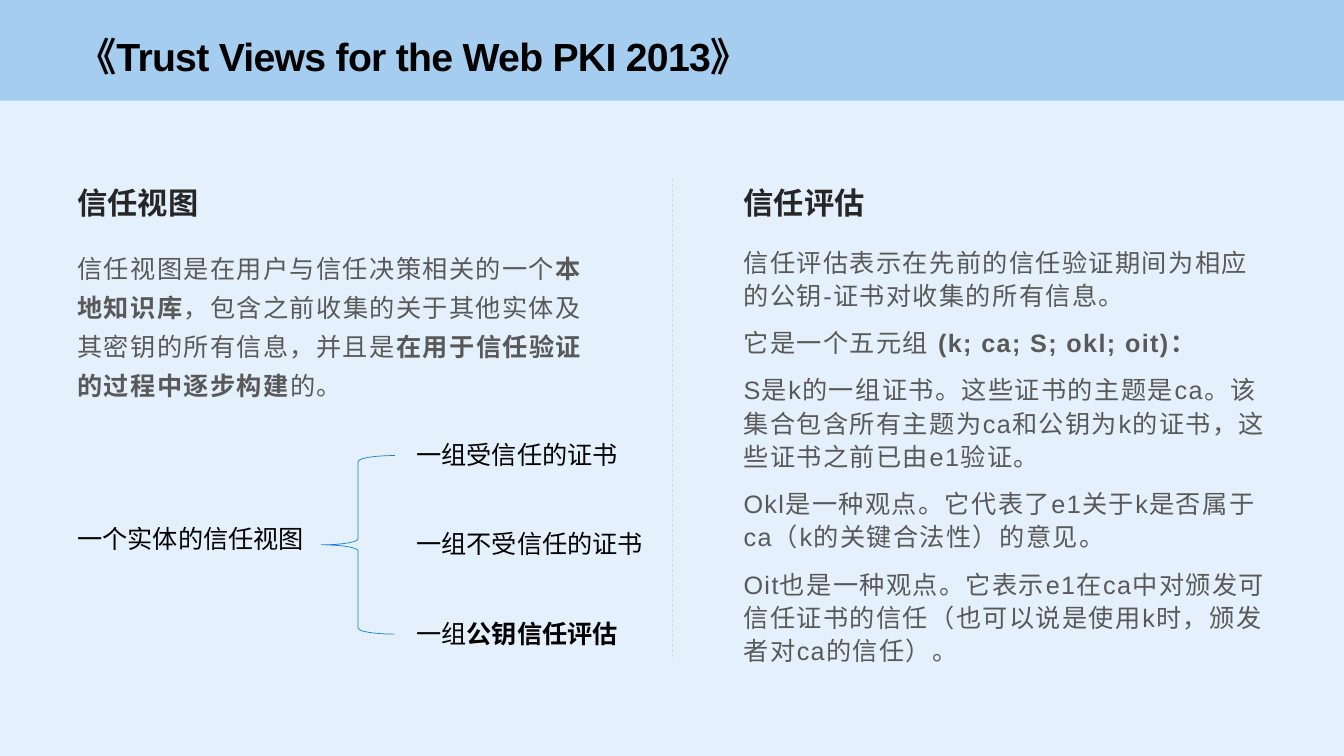
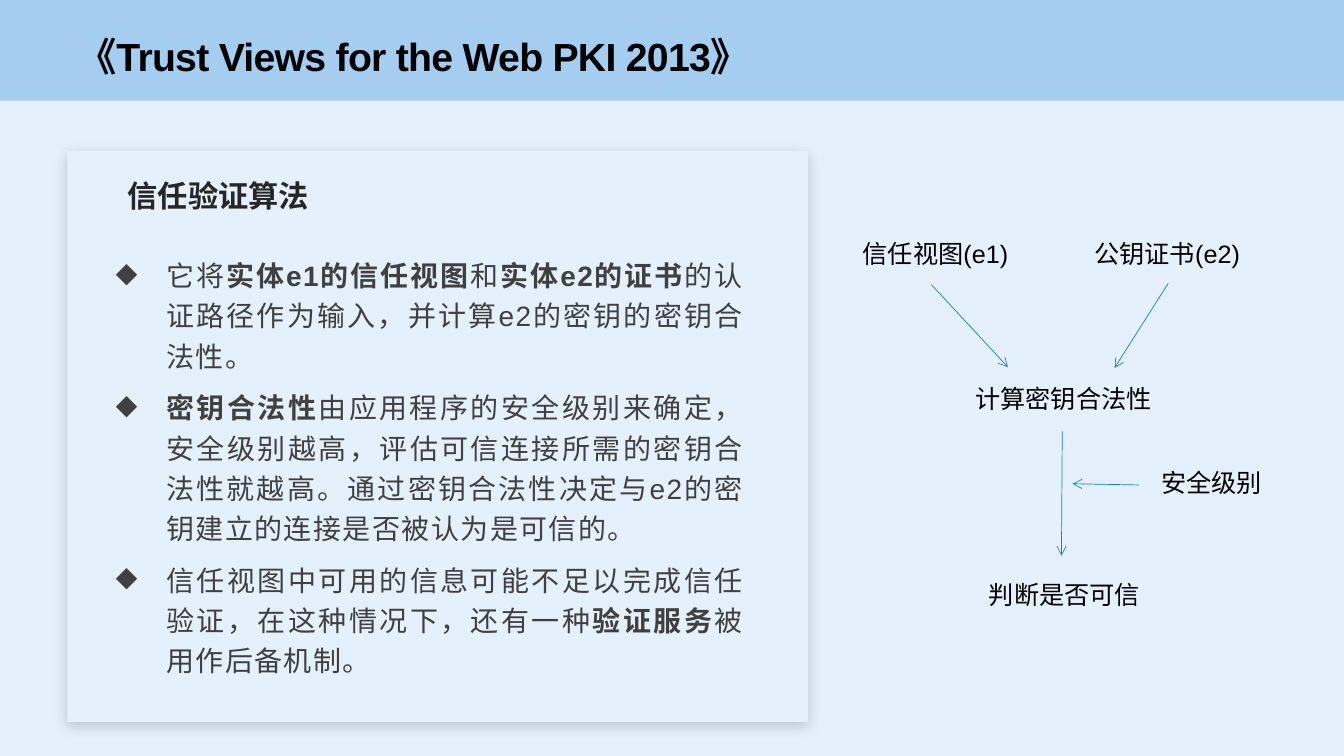
from lxml import etree
from pptx import Presentation
from pptx import util as u
from pptx.dml.color import RGBColor
from pptx.enum import dml, lang, shapes, text
from pptx.oxml.ns import qn

PALE = RGBColor(0xE4, 0xF0, 0xFB)
BAND = RGBColor(0xA5, 0xCD, 0xEF)
BLUE = RGBColor(0x15, 0x7F, 0xD9)
RULE = RGBColor(0xD9, 0xD9, 0xD9)
BLACK = RGBColor(0, 0, 0)
DARK = RGBColor(0x26, 0x26, 0x26)
SLATE = RGBColor(0x40, 0x40, 0x40)
GREY = RGBColor(0x59, 0x59, 0x59)

WIDTH, HEIGHT = 33.87, 19.05
TITLE = dict(size=28, color=BLACK, bold=True, track=-50)
HEAD = dict(size=21.6, color=DARK, bold=True, track=0)
LABEL = dict(size=18, color=BLACK, bold=False, track=0)
BODY = dict(size=18, color=GREY, bold=False, track=100)
POINT = dict(size=20, color=SLATE, bold=False, track=100)


def cm(*sizes):
    return [u.Cm(size) for size in sizes]


def put(target, **form):
    for name, value in form.items():
        setattr(target, name, value)


def node(parent, tag, **attrs):
    return etree.SubElement(parent, qn(tag), attrs)


def write(para, words, style):
    for i, part in enumerate(words.split("*")):
        if not part:
            continue
        run = para.add_run()
        run.text = part
        put(run.font, name="Arial", size=u.Pt(style["size"]),
            bold=style["bold"] or i % 2 == 1,
            language_id=lang.MSO_LANGUAGE_ID.SIMPLIFIED_CHINESE)
        run.font.color.rgb = style["color"]
        props = run.font._element
        props.set("spc", str(style["track"]))
        node(props, "a:ea", typeface="Arial")


def add_text(slide, box, paras, style, anchor=text.MSO_ANCHOR.TOP, bullet=None, **form):
    frame = slide.shapes.add_textbox(*cm(*box)).text_frame
    put(frame, word_wrap=True, vertical_anchor=anchor)
    for i, words in enumerate(paras):
        para = frame.add_paragraph() if i else frame.paragraphs[0]
        put(para, **form)
        if bullet:
            props = para._p.get_or_add_pPr()
            props.set("marL", str(u.Cm(1.27)))
            props.set("indent", str(u.Cm(-1.27)))
            tint = node(props, "a:buClr")
            node(tint, "a:srgbClr", val=str(style["color"]))
            node(props, "a:buChar", char=bullet)
        write(para, words, style)


def add_box(slide, box, fill=None, line=None, kind=shapes.MSO_SHAPE.RECTANGLE):
    shape = slide.shapes.add_shape(kind, *cm(*box))
    shape.shadow.inherit = False
    if fill is None:
        shape.fill.background()
    else:
        shape.fill.solid()
        shape.fill.fore_color.rgb = fill
    if line is None:
        shape.line.fill.background()
    else:
        shape.line.color.rgb = line
        shape.line.width = u.Pt(0.5)
    return shape


def add_line(slide, start, end, color):
    line = slide.shapes.add_connector(shapes.MSO_CONNECTOR.STRAIGHT, *cm(*start, *end))
    line.line.color.rgb = color
    line.line.width = u.Pt(0.5)
    node(line._element.spPr, "a:effectLst")
    return line


def add_page(deck, title):
    slide = deck.slides.add_slide(deck.slide_layouts[6])
    slide.background.fill.solid()
    slide.background.fill.fore_color.rgb = PALE
    add_box(slide, (0, 0, WIDTH, 2.54), BAND)
    add_text(slide, (1.7, 0.43, 30.48, 1.7), [title], TITLE, text.MSO_ANCHOR.BOTTOM)
    return slide


def add_column(slide, box, head, paras, spacing):
    x, y, w, h = box
    add_text(slide, (x, y, w, 1.27), [head], HEAD)
    add_text(slide, (x, y + 1.5, w, h - 1.5), paras, BODY,
             line_spacing=spacing, space_before=u.Pt(10))


def add_tree(slide, box, root, items):
    x, y, w, h = box
    step = (h - 1.02) / (len(items) - 1)
    add_text(slide, (x, y + 2.11, 6.4, 1.02), [root], LABEL)
    add_box(slide, (x + 6.4, y + 0.53, 1.85, step * 2), line=BLUE,
            kind=shapes.MSO_SHAPE.LEFT_BRACE)
    for i, item in enumerate(items):
        add_text(slide, (x + 8.54, y + i * step, w - 8.54, 1.02), [item], LABEL)


def add_panel(slide, box, head, points):
    x, y, w, h = box
    panel = add_box(slide, box, PALE)
    effect = panel._element.spPr.find(qn("a:effectLst"))
    shade = node(effect, "a:outerShdw", blurRad=str(u.Pt(10)), dist=str(u.Pt(3)),
                 dir="5400000", algn="t", rotWithShape="0")
    node(node(shade, "a:srgbClr", val="0D0D0D"), "a:alpha", val="20000")
    add_text(slide, (x + 1.27, y + 0.53, 13.67, 1.27), [head], HEAD)
    add_text(slide, (x + 0.97, y + 1.83, w - 2.34, h - 2.24), points, POINT,
             text.MSO_ANCHOR.MIDDLE, "◆", alignment=text.PP_ALIGN.JUSTIFY,
             line_spacing=1.2, space_after=u.Pt(8))


def add_flow(slide, box, steps, arrows):
    x, y, w, h = box
    for dx, dy, words in steps:
        add_text(slide, (x + dx, y + dy, min(5.5, w - dx), 1.02), [words], LABEL)
    for ax, ay, bx, by in arrows:
        line = add_line(slide, (x + ax, y + ay), (x + bx, y + by), BLUE)
        node(line.line._get_or_add_ln(), "a:tailEnd", type="arrow")


def main():
    deck = Presentation()
    put(deck, slide_width=u.Cm(WIDTH), slide_height=u.Cm(HEIGHT))
    title = "《Trust Views for the Web PKI 2013》"

    views = add_page(deck, title)
    add_column(views, (1.7, 4.52, 13.67, 6.43), "信任视图", [
        "信任视图是在用户与信任决策相关的一个*本地知识库*，包含之前收集的关于其他实体"
        "及其密钥的所有信息，并且是*在用于信任验证的过程中逐步构建*的。",
    ], 1.3)
    rule = add_line(views, (16.94, 4.52), (16.94, 16.56), RULE)
    rule.line.dash_style = dml.MSO_LINE.DASH
    add_column(views, (18.49, 4.52, 13.67, 12.52), "信任评估", [
        "信任评估表示在先前的信任验证期间为相应的公钥-证书对收集的所有信息。",
        "它是一个五元组 *(k; ca; S; okl; oit)：*",
        "S是k的一组证书。这些证书的主题是ca。该集合包含所有主题为ca和公钥为k的证书，"
        "这些证书之前已由e1验证。",
        "Okl是一种观点。它代表了e1关于k是否属于ca（k的关键合法性）的意见。",
        "Oit也是一种观点。它表示e1在ca中对颁发可信任证书的信任"
        "（也可以说是使用k时，颁发者对ca的信任）。",
    ], 1.1)
    add_tree(views, (1.7, 10.95, 15.04, 5.52), "一个实体的信任视图",
             ["一组受信任的证书", "一组不受信任的证书", "一组*公钥信任评估*"])

    check = add_page(deck, title)
    add_panel(check, (1.7, 3.81, 18.67, 14.38), "信任验证算法", [
        "它将*实体e1的信任视图*和*实体e2的证书*的认证路径作为输入，"
        "并计算e2的密钥的密钥合法性。",
        "*密钥合法性*由应用程序的安全级别来确定，安全级别越高，评估可信连接所需的"
        "密钥合法性就越高。通过密钥合法性决定与e2的密钥建立的连接是否被认为是可信的。",
        "信任视图中可用的信息可能不足以完成信任验证，在这种情况下，"
        "还有一种*验证服务*被用作后备机制。",
    ])
    add_flow(check, (21.49, 5.87, 11.6, 9.63), [
        (0, 0, "信任视图(e1)"),
        (5.84, 0, "公钥证书(e2)"),
        (2.84, 3.66, "计算密钥合法性"),
        (7.52, 5.79, "安全级别"),
        (3.18, 8.61, "判断是否可信"),
    ], [
        (1.98, 1.3, 3.91, 3.38),
        (7.95, 1.27, 6.6, 3.4),
        (5.28, 5, 5.26, 8.13),
        (7.21, 6.35, 5.54, 6.32),
    ])
    deck.save("out.pptx")


if __name__ == "__main__":
    main()
